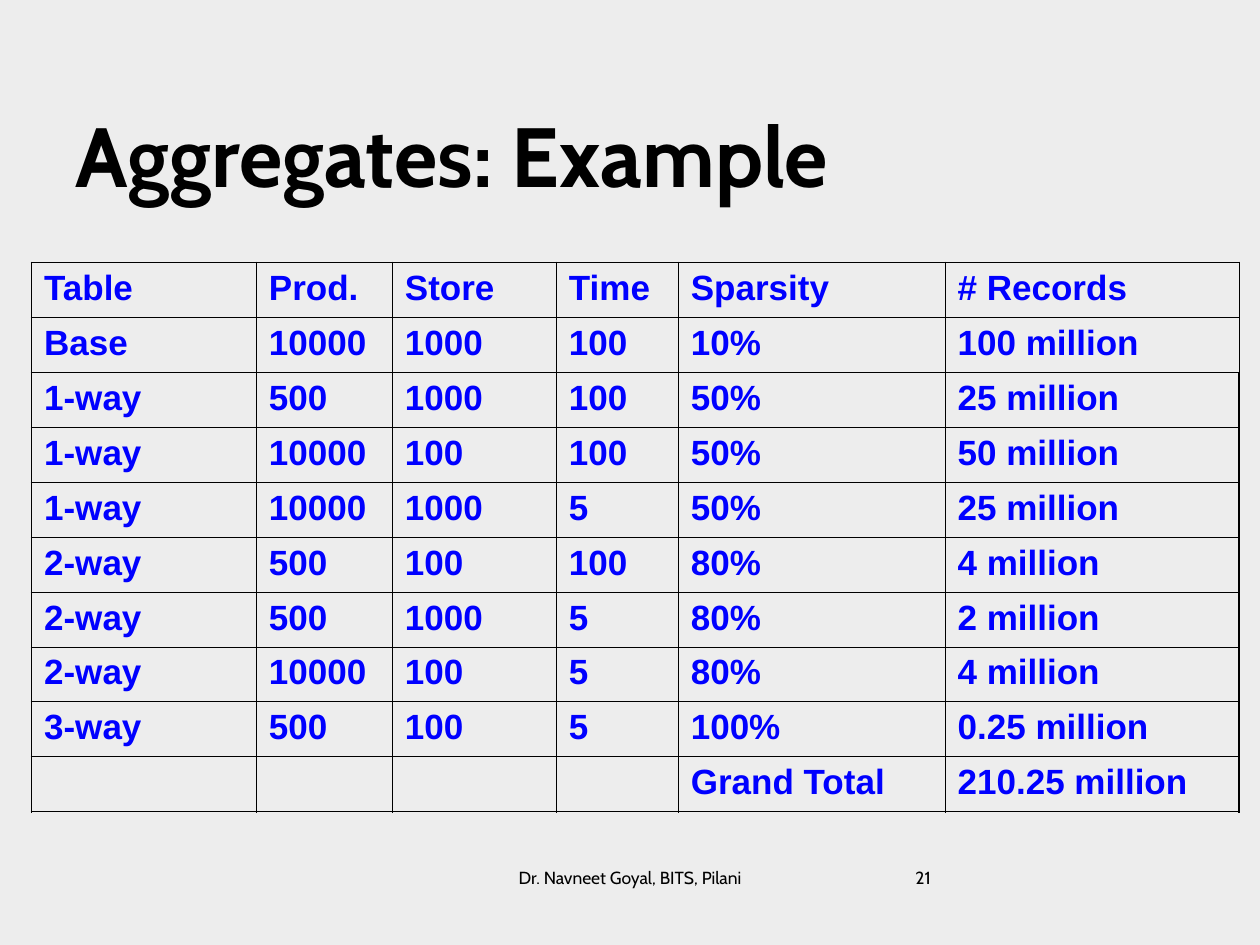
from lxml.etree import SubElement
from pptx import Presentation
from pptx.dml.color import RGBColor
from pptx.enum.text import MSO_ANCHOR as Anchor, PP_ALIGN as Align
from pptx.oxml import parse_xml
from pptx.oxml.ns import nsdecls, qn
from pptx.util import Pt

COLOURS = {"background": "EDEDED", "text": "000000", "cell": "0000FF", "border": "000000"}
THIN, THICK = 0.45, 1.08

COLUMN_WIDTHS = [128.5, 77.7, 93.7, 69.7, 152.5, 168]
ROW_HEIGHT = 31.4
ROWS = [
    ["Table", "Prod.", "Store", "Time", "Sparsity", "# Records"],
    ["Base", "10000", "1000", "100", "10%", "100 million"],
    ["1-way", "500", "1000", "100", "50%", "25 million"],
    ["1-way", "10000", "100", "100", "50%", "50 million"],
    ["1-way", "10000", "1000", "5", "50%", "25 million"],
    ["2-way", "500", "100", "100", "80%", "4 million"],
    ["2-way", "500", "1000", "5", "80%", "2 million"],
    ["2-way", "10000", "100", "5", "80%", "4 million"],
    ["3-way", "500", "100", "5", "100%", "0.25 million"],
    ["", "", "", "", "Grand Total", "210.25 million"],
]


class SlideBuilder:
    heading_font = "Cabin"
    table_font = "Arial"

    def __init__(self, deck):
        self.slide = deck.slides.add_slide(deck.slide_layouts[6])
        fill = self.slide.background.fill
        fill.solid()
        fill.fore_color.rgb = RGBColor.from_string(COLOURS["background"])

    def format_text(self, para, font, size, colour, bold=False):
        for span in para.runs:
            span.font.name = font
            span.font.size = Pt(size)
            span.font.bold = bold
            span.font.color.rgb = RGBColor.from_string(COLOURS[colour])

    def text(self, words, left, top, width, height, size, bold=False,
             align=Align.LEFT, anchor=Anchor.TOP, bottom_inset=3.6):
        box = self.slide.shapes.add_textbox(Pt(left), Pt(top), Pt(width), Pt(height))
        frame = box.text_frame
        frame.word_wrap = True
        frame.vertical_anchor = anchor
        frame.margin_bottom = Pt(bottom_inset)
        frame.text = words
        para = frame.paragraphs[0]
        para.alignment = align
        self.format_text(para, self.heading_font, size, "text", bold)

    def borders(self, cell, widths):
        properties = cell._tc.get_or_add_tcPr()
        for position, (side, width) in enumerate(widths.items()):
            line = parse_xml(f'<a:ln{side} {nsdecls("a")} w="{Pt(width)}"/>')
            fill = SubElement(line, qn("a:solidFill"))
            SubElement(fill, qn("a:srgbClr"), val=COLOURS["border"])
            properties.insert(position, line)

    def table(self, rows, left, top, column_widths, row_height):
        last_row, last_column = len(rows) - 1, len(column_widths) - 1
        table = self.slide.shapes.add_table(
            len(rows), len(column_widths), Pt(left), Pt(top),
            Pt(sum(column_widths)), Pt(row_height * len(rows))).table
        table.first_row = table.horz_banding = False
        for column, width in zip(table.columns, column_widths):
            column.width = Pt(width)
        for r, values in enumerate(rows):
            table.rows[r].height = Pt(row_height)
            for c, value in enumerate(values):
                cell = table.cell(r, c)
                cell.fill.background()
                cell.text_frame.text = value
                self.format_text(cell.text_frame.paragraphs[0],
                                 self.table_font, 20, "cell", bold=True)
                # Outer edges are heavier, except beside the top two rows on the right
                self.borders(cell, {
                    "L": THICK if c == 0 else THIN,
                    "R": THICK if c == last_column and r > 1 else THIN,
                    "T": THICK if r == 0 else THIN,
                    "B": THICK if r == last_row else THIN,
                })


def main():
    deck = Presentation()
    deck.slide_width, deck.slide_height = Pt(720), Pt(540)
    page = SlideBuilder(deck)

    # Title
    page.text("Aggregates: Example", 36, 28, 648, 90, 48, bold=True,
              anchor=Anchor.BOTTOM, bottom_inset=1.5)

    # Page number and footer
    page.text("21", 516, 492, 168, 37.5, 10)
    page.text("Dr. Navneet Goyal, BITS, Pilani", 246, 492, 228, 37.5, 10, align=Align.CENTER)

    # Aggregate table
    page.table(ROWS, 18, 150, COLUMN_WIDTHS, ROW_HEIGHT)

    deck.save("out.pptx")


if __name__ == "__main__":
    main()
